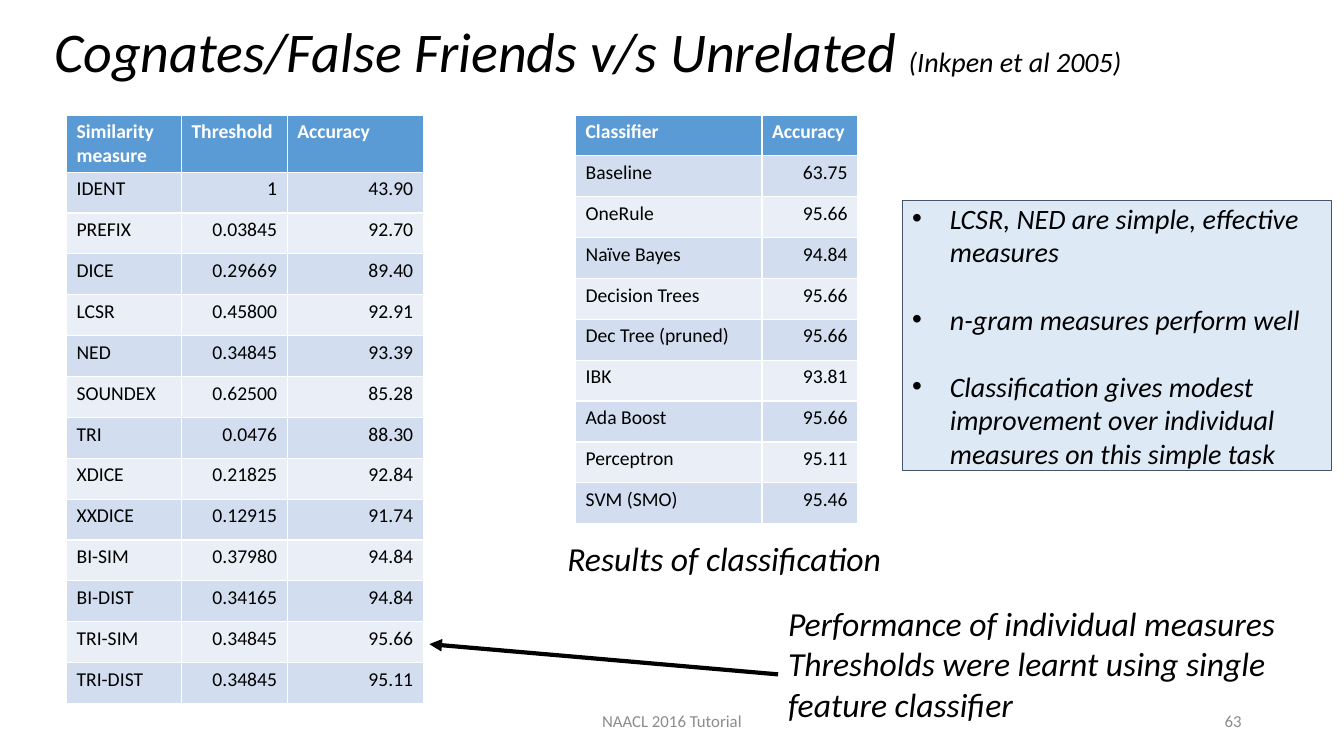
from lxml import etree
from pptx import Presentation
from pptx.dml.color import RGBColor
from pptx.enum import shapes, text
from pptx.oxml import ns
from pptx.util import Pt

BLACK = RGBColor(0x00, 0x00, 0x00)
WHITE = RGBColor(0xFF, 0xFF, 0xFF)
GREY = RGBColor(0x8C, 0x8C, 0x8C)
HEADER = RGBColor(0x5B, 0x9B, 0xD5)
BANDS = [RGBColor(0xEA, 0xEF, 0xF7), RGBColor(0xD2, 0xDE, 0xEF)]
BOX_FILL = RGBColor(0xBD, 0xD7, 0xEE)
BOX_LINE = RGBColor(0x44, 0x54, 0x6A)
LEFT, CENTER, RIGHT = text.PP_ALIGN.LEFT, text.PP_ALIGN.CENTER, text.PP_ALIGN.RIGHT
TOP, MIDDLE = text.MSO_ANCHOR.TOP, text.MSO_ANCHOR.MIDDLE
ROW_HEIGHT = 29.2


def style(font, size, color=BLACK, **formats):
    formats = {"name": "Calibri", "size": Pt(size), **formats}
    for name, value in formats.items():
        setattr(font, name, value)
    font.color.rgb = color


def add_child(parent, tag, **attributes):
    return etree.SubElement(parent, ns.qn(tag), attributes)


prs = Presentation()
prs.slide_width, prs.slide_height = Pt(960), Pt(540)
s = prs.slides.add_slide(prs.slide_layouts[6])

# Title
sp = s.shapes.add_textbox(Pt(31.7), Pt(8.6), Pt(784.8), Pt(55.4))
tf = sp.text_frame
tf.word_wrap = False
tf.auto_size = text.MSO_AUTO_SIZE.SHAPE_TO_FIT_TEXT
for words, size in [("Cognates/False Friends v/s Unrelated ", 40),
                    ("(Inkpen et al 2005)", 20)]:
    r = tf.paragraphs[0].add_run()
    r.text = words
    style(r.font, size, italic=True)

# Captions and footer: lines, box, vertical inset, anchor, alignment, font
caption = {"size": 24, "italic": True}
footer = {"size": 12, "color": GREY}
labels = [
    (["Performance of individual measures",
      "Thresholds were learnt using single feature classifier"],
     (555.8, 423.4, 366.5, 116.6), 7.2, TOP, LEFT, caption),
    (["Results of classification"],
     (398.2, 377.3, 316, 21), 7.2, TOP, LEFT, caption),
    (["63"], (678, 500.5, 216, 28.8), 3.6, MIDDLE, RIGHT, footer),
    (["NAACL 2016 Tutorial"], (318, 500.5, 324, 28.8), 3.6, MIDDLE, CENTER, footer),
]
for lines, box, inset, anchor, align, font in labels:
    tf = s.shapes.add_textbox(*map(Pt, box)).text_frame
    tf.word_wrap = True
    tf.margin_top = tf.margin_bottom = Pt(inset)
    tf.vertical_anchor = anchor
    tf.text = "\n".join(lines)
    for p in tf.paragraphs:
        p.alignment = align
        style(p.font, **font)

# Tables: left edge, column widths, rows
classifiers = [
    ("Classifier", "Accuracy"),
    ("Baseline", "63.75"),
    ("OneRule", "95.66"),
    ("Naïve Bayes", "94.84"),
    ("Decision Trees", "95.66"),
    ("Dec Tree (pruned)", "95.66"),
    ("IBK", "93.81"),
    ("Ada Boost", "95.66"),
    ("Perceptron", "95.11"),
    ("SVM (SMO)", "95.46"),
]
measures = [
    ("Similarity measure", "Threshold", "Accuracy"),
    ("IDENT", "1", "43.90"),
    ("PREFIX", "0.03845", "92.70"),
    ("DICE", "0.29669", "89.40"),
    ("LCSR", "0.45800", "92.91"),
    ("NED", "0.34845", "93.39"),
    ("SOUNDEX", "0.62500", "85.28"),
    ("TRI", "0.0476", "88.30"),
    ("XDICE", "0.21825", "92.84"),
    ("XXDICE", "0.12915", "91.74"),
    ("BI-SIM", "0.37980", "94.84"),
    ("BI-DIST", "0.34165", "94.84"),
    ("TRI-SIM", "0.34845", "95.66"),
    ("TRI-DIST", "0.34845", "95.11"),
]
for left, widths, rows in [(411.1, (133.2, 68.4), classifiers),
                           (47.5, (82.1, 75.6, 97.2), measures)]:
    table = s.shapes.add_table(len(rows), len(widths), Pt(left), Pt(82.1),
                               Pt(sum(widths)), Pt(ROW_HEIGHT * len(rows))).table
    for column, width in zip(table.columns, widths):
        column.width = Pt(width)
    for i, row in enumerate(rows):
        table.rows[i].height = Pt(ROW_HEIGHT)
        for j, value in enumerate(row):
            cell = table.cell(i, j)
            cell.text = value
            cell.fill.solid()
            cell.fill.fore_color.rgb = BANDS[i % 2] if i else HEADER
            p = cell.text_frame.paragraphs[0]
            p.alignment = RIGHT if i and j else LEFT
            style(p.font, 14, BLACK if i else WHITE, bold=i == 0)

# Findings box
sp = s.shapes.add_shape(shapes.MSO_SHAPE.RECTANGLE, Pt(644.4), Pt(143.3), Pt(306.7), Pt(193))
sp.shadow.inherit = False
sp.fill.solid()
sp.fill.fore_color.rgb = BOX_FILL
add_child(sp.fill._xPr.find(".//" + ns.qn("a:srgbClr")), "a:alpha", val="50000")
sp.line.color.rgb = BOX_LINE
sp.line.width = Pt(0.75)
tf = sp.text_frame
tf.word_wrap = True
tf.vertical_anchor = MIDDLE
tf.margin_top = tf.margin_bottom = Pt(7.2)
tf.text = "\n".join([
    "LCSR, NED are simple, effective measures",
    "n-gram measures perform well",
    "Classification gives modest improvement over individual measures on this simple task",
])
for i, p in enumerate(tf.paragraphs):
    p.alignment = LEFT
    if i:
        p.space_before = Pt(24)
    pPr = p._p.get_or_add_pPr()
    pPr.set("marL", str(Pt(27)))
    pPr.set("indent", str(-Pt(27)))
    add_child(pPr, "a:buFont", typeface="Arial")
    add_child(pPr, "a:buChar", char="•")
    style(p.font, 20, italic=True)

# Arrow from the caption to the best measure
arrow = s.shapes.add_connector(shapes.MSO_CONNECTOR.STRAIGHT,
                               Pt(555.8), Pt(481.7), Pt(306.7), Pt(460.1))
arrow.line.color.rgb = BLACK
arrow.line.width = Pt(3)
add_child(arrow.line._get_or_add_ln(), "a:tailEnd", type="triangle")
add_child(arrow._element.spPr, "a:effectLst")

prs.save("out.pptx")
